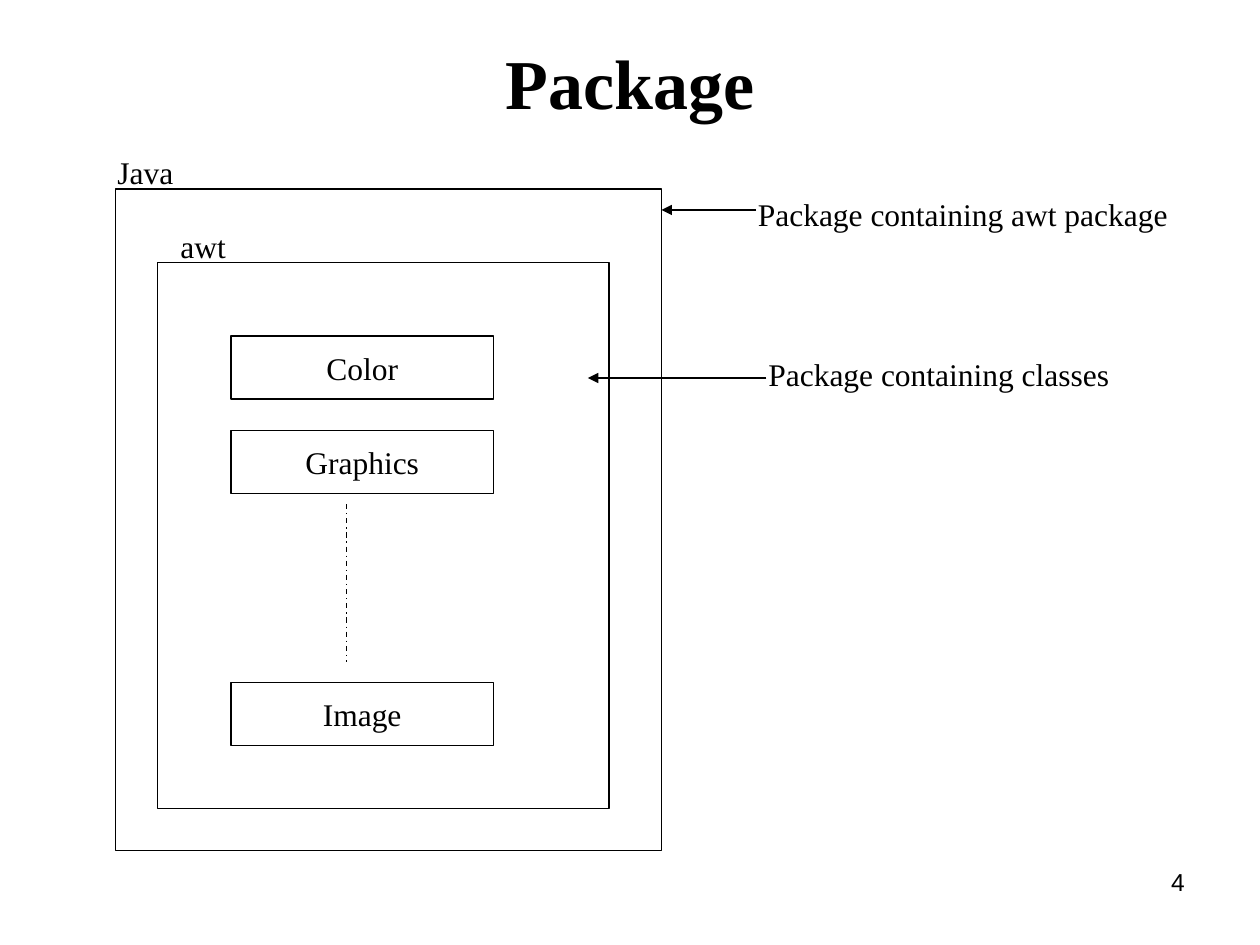
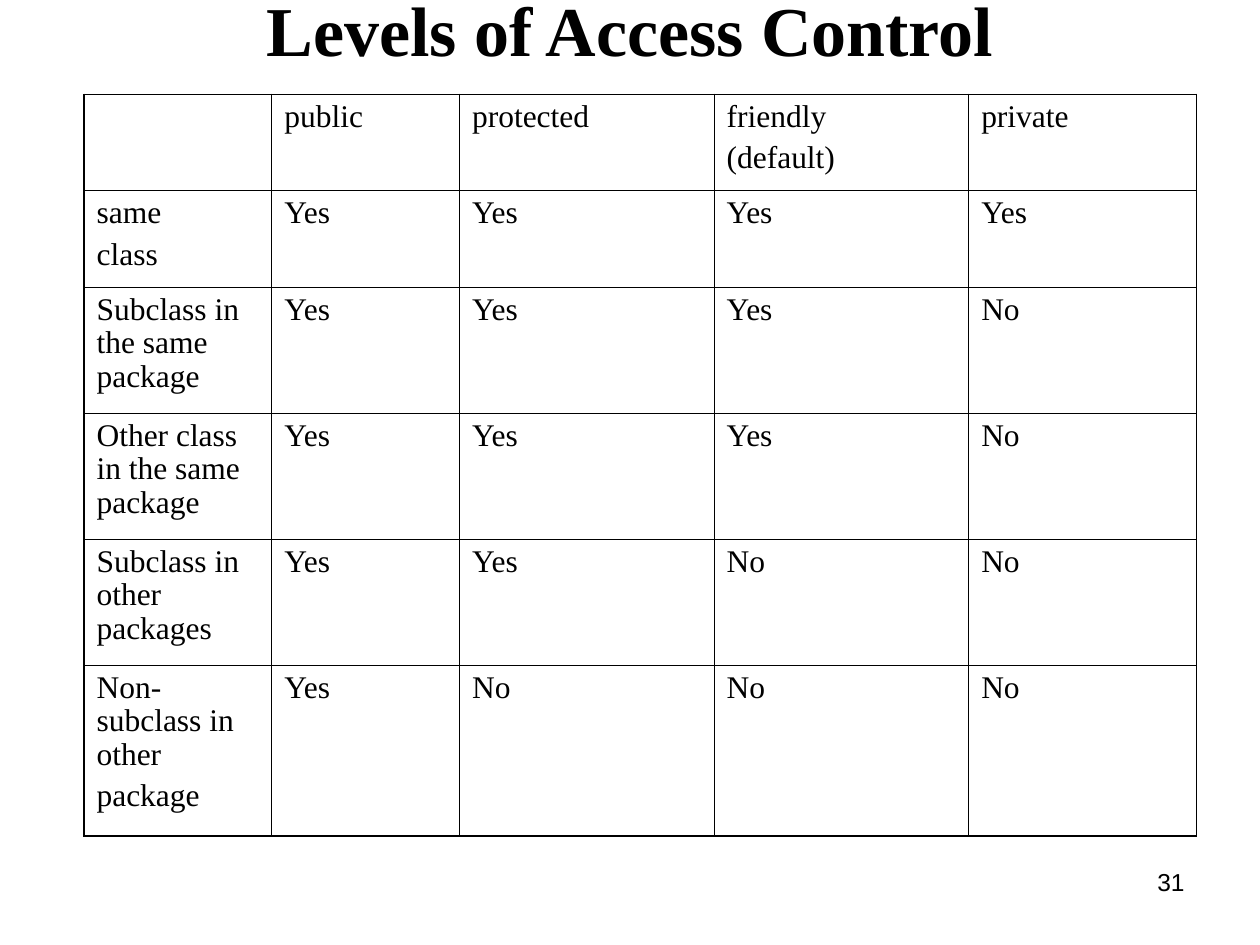
import pptx
import pptx.util
import pptx.oxml
import pptx.dml.color
import pptx.enum.dml
import pptx.enum.shapes
import pptx.enum.text
import lxml.etree

Pt = pptx.util.Pt
Align = pptx.enum.text.PP_ALIGN
Anchor = pptx.enum.text.MSO_ANCHOR
BLACK = pptx.dml.color.RGBColor(0x00, 0x00, 0x00)
WHITE = pptx.dml.color.RGBColor(0xFF, 0xFF, 0xFF)
DRAWING = "http://schemas.openxmlformats.org/drawingml/2006/main"

SERIF = "Times New Roman"
TITLE = {"name": SERIF, "size": Pt(40), "bold": True}
BODY = {"name": SERIF, "size": Pt(18), "bold": False}
FOOTER = {"name": "Arial", "size": Pt(14), "bold": False}
PADDED = {"margin_left": Pt(7.2), "margin_right": Pt(7.2), "margin_top": Pt(3.6), "margin_bottom": Pt(3.6)}
FLUSH = dict.fromkeys(PADDED, 0)


def write_text(frame, text, font, paragraph_format):
    for index, line in enumerate(text.split("\n")):
        para = frame.add_paragraph() if index else frame.paragraphs[0]
        for key, value in paragraph_format.items():
            setattr(para, key, value)
        if index:
            para.space_before = Pt(4.5)
        span = para.add_run()
        span.text = line
        for key, value in font.items():
            setattr(span.font, key, value)
        span.font.color.rgb = BLACK


def add_text_box(page, text, bounds, font, alignment, frame_format):
    box = page.shapes.add_textbox(*map(Pt, bounds))
    for key, value in {"word_wrap": True, **frame_format}.items():
        setattr(box.text_frame, key, value)
    write_text(box.text_frame, text, font, {"alignment": alignment})


deck = pptx.Presentation()
deck.slide_width = Pt(720)
deck.slide_height = Pt(540)

pages = []
for title, top, height, number in [("Package", 21.5, 50.5, "4"), ("Levels of Access Control", -6, 45, "31")]:
    page = deck.slides.add_slide(deck.slide_layouts[6])
    page.background.fill.solid()
    page.background.fill.fore_color.rgb = WHITE
    add_text_box(page, number, (516, 492, 168, 37.5), FOOTER, Align.RIGHT, PADDED)
    add_text_box(page, title, (36, top, 648, height), TITLE, Align.CENTER,
                 {**FLUSH, "vertical_anchor": Anchor.MIDDLE})
    pages.append(page)
package_page, access_page = pages

for name, left, top, width, height in [
    ("", 66, 108, 312, 378),
    ("", 90, 150, 258, 312),
    ("Color", 132, 192, 150, 36),
    ("Graphics", 132, 246, 150, 36),
    ("Image", 132, 390, 150, 36),
]:
    box = package_page.shapes.add_shape(
        pptx.enum.shapes.MSO_SHAPE.RECTANGLE, Pt(left), Pt(top), Pt(width), Pt(height))
    box.shadow.inherit = False
    box.fill.solid()
    box.fill.fore_color.rgb = WHITE
    box.line.color.rgb = BLACK
    box.line.width = Pt(0.75)
    if name:
        for key, value in {**PADDED, "word_wrap": False, "vertical_anchor": Anchor.MIDDLE}.items():
            setattr(box.text_frame, key, value)
        write_text(box.text_frame, name, BODY, {"alignment": Align.CENTER})

for label, left, top, width in [
    ("Java", 60, 84, 144),
    ("awt", 96, 126, 162),
    ("Package containing awt package", 426, 108, 252),
    ("Package containing classes", 432, 199.5, 252),
]:
    add_text_box(package_page, label, (left, top, width, 28.8), BODY, Align.LEFT, PADDED)

for ends, is_arrow in [((198, 288, 198, 378), False), ((432, 120, 378, 120), True), ((438, 216, 336, 216), True)]:
    line = package_page.shapes.add_connector(pptx.enum.shapes.MSO_CONNECTOR.STRAIGHT, *map(Pt, ends))
    line.line.color.rgb = BLACK
    line.line.width = Pt(0.75)
    if is_arrow:
        lxml.etree.SubElement(line.line._get_or_add_ln(), f"{{{DRAWING}}}tailEnd", type="triangle")
    else:
        line.line.dash_style = pptx.enum.dml.MSO_LINE.DASH_DOT
    lxml.etree.SubElement(line._element.spPr, f"{{{DRAWING}}}effectLst")

ACCESS_ROWS = [
    ["", "public", "protected", "friendly\n(default)", "private"],
    ["same\nclass", "Yes", "Yes", "Yes", "Yes"],
    ["Subclass in the same package", "Yes", "Yes", "Yes", "No"],
    ["Other class in the same package", "Yes", "Yes", "Yes", "No"],
    ["Subclass in other packages", "Yes", "Yes", "No", "No"],
    ["Non-subclass in other\npackage", "Yes", "No", "No", "No"],
]
COLUMN_WIDTHS = [107.3, 107.3, 145.5, 145.5, 130.3]
ROW_HEIGHTS = [55, 55, 72, 72, 72, 97.7]
last_row = len(ROW_HEIGHTS) - 1
last_column = len(COLUMN_WIDTHS) - 1

table = access_page.shapes.add_table(
    len(ROW_HEIGHTS), len(COLUMN_WIDTHS), Pt(48), Pt(54),
    Pt(sum(COLUMN_WIDTHS)), Pt(sum(ROW_HEIGHTS))).table
table.first_row = False
table.horz_banding = False
for column, width in zip(table.columns, COLUMN_WIDTHS):
    column.width = Pt(width)
for row, height in zip(table.rows, ROW_HEIGHTS):
    row.height = Pt(height)

for row_index, texts in enumerate(ACCESS_ROWS):
    for column_index, text in enumerate(texts):
        cell = table.cell(row_index, column_index)
        for key, value in PADDED.items():
            setattr(cell, key, value)
        if text:
            write_text(cell.text_frame, text, BODY, {"line_spacing": 0.96})
        outer_edges = {
            "lnL": column_index == 0,
            "lnR": column_index == last_column,
            "lnT": row_index == 0,
            "lnB": row_index == last_row,
        }
        properties = cell._tc.get_or_add_tcPr()
        for edge, is_outer in outer_edges.items():
            width = Pt(1.08 if is_outer else 0.45)
            properties.append(pptx.oxml.parse_xml(
                f'<a:{edge} xmlns:a="{DRAWING}" w="{width}"><a:solidFill>'
                f'<a:srgbClr val="{BLACK}"/></a:solidFill></a:{edge}>'))
        cell.fill.background()

deck.save("out.pptx")
